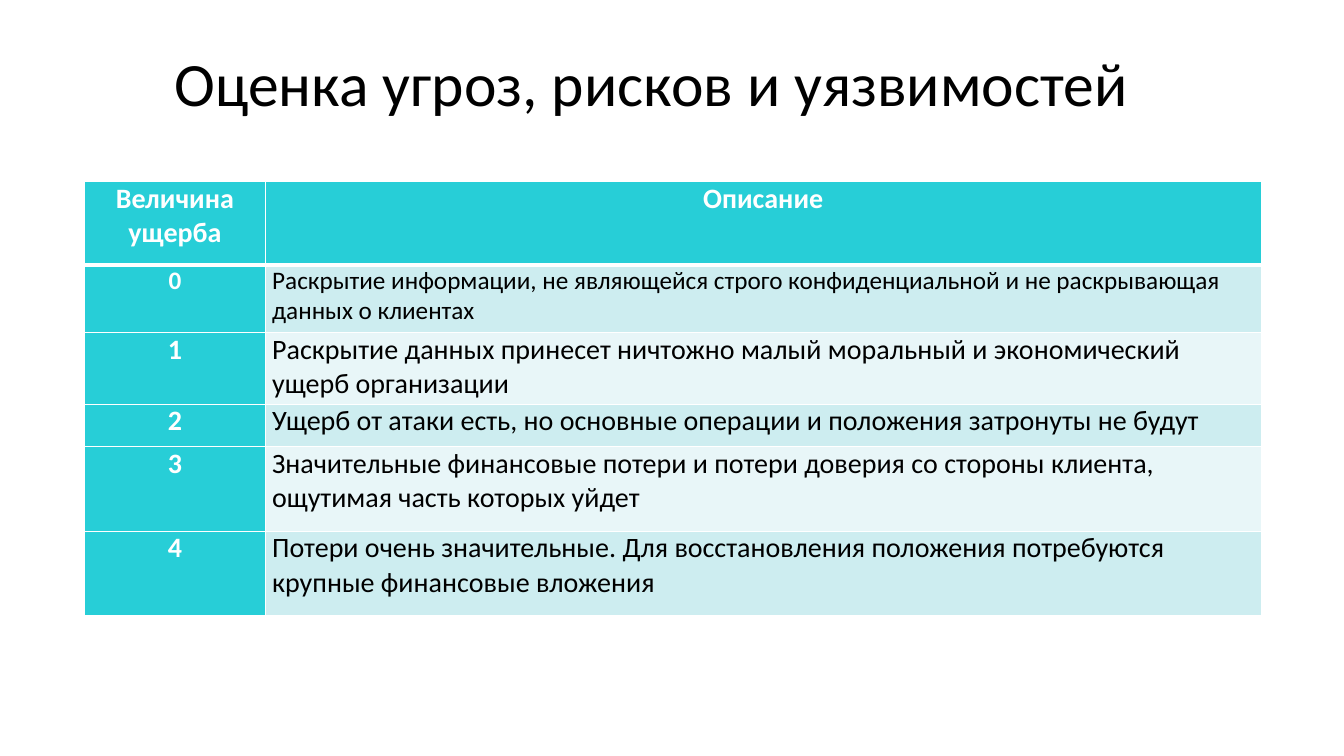
import pptx
import pptx.util
import pptx.dml.color
import pptx.enum.text
import pptx.oxml
from lxml import etree
from pptx.util import Inches

COLORS = {
    "text": "000000",
    "light_text": "FFFFFF",
    "border": "FFFFFF",
    "accent": "27CED7",
    "odd_row": "CDEDF0",
    "even_row": "E8F6F8",
}
FONT = "Calibri"
DRAWING_NS = "http://schemas.openxmlformats.org/drawingml/2006/main"

HEADINGS = ("Величина\nущерба", "Описание")
# Row height, text size, description; the damage level is the row's index
DAMAGE_LEVELS = [
    (0.67, 18, "Раскрытие информации, не являющейся строго конфиденциальной "
               "и не раскрывающая данных о клиентах"),
    (0.71, 20, "Раскрытие данных принесет ничтожно малый моральный и "
               "экономический ущерб организации"),
    (0.42, 20, "Ущерб от атаки есть, но основные операции и положения "
               "затронуты не будут"),
    (0.84, 20, "Значительные финансовые потери и потери доверия со стороны "
               "клиента, ощутимая часть которых уйдет"),
    (0.84, 20, "Потери очень значительные. Для восстановления положения "
               "потребуются крупные финансовые вложения"),
]
HEADING_HEIGHT = 0.83
COLUMN_WIDTHS = (1.79, 9.88)


def rgb(name):
    return pptx.dml.color.RGBColor.from_string(COLORS[name])


def format_runs(paragraph, size, color, bold=False):
    for run in paragraph.runs:
        run.font.name = FONT
        run.font.size = pptx.util.Pt(size)
        run.font.bold = bold
        run.font.color.rgb = rgb(color)


def add_title(slide, text):
    title = slide.shapes.title
    title.left, title.top = Inches(1.63), Inches(0.43)
    title.width, title.height = Inches(11.5), Inches(0.85)
    frame = title.text_frame
    frame.text = text
    frame.word_wrap = True
    frame.auto_size = pptx.enum.text.MSO_AUTO_SIZE.NONE
    frame.vertical_anchor = pptx.enum.text.MSO_ANCHOR.MIDDLE
    paragraph = frame.paragraphs[0]
    paragraph.alignment = pptx.enum.text.PP_ALIGN.LEFT
    paragraph.line_spacing = 0.9
    format_runs(paragraph, 44, "text")


def set_borders(cell, top=1, bottom=1):
    properties = cell._tc.get_or_add_tcPr()
    for side, width in (("L", 1), ("R", 1), ("T", top), ("B", bottom)):
        properties.append(pptx.oxml.parse_xml(
            f'<a:ln{side} xmlns:a="{DRAWING_NS}" w="{pptx.util.Pt(width)}">'
            f'<a:solidFill><a:srgbClr val="{COLORS["border"]}"/></a:solidFill>'
            f'</a:ln{side}>'))


def fill_cell(cell, text, size, fill, centered=True, top=1, bottom=1):
    """Centered cells are headings and levels: bold light text."""
    set_borders(cell, top, bottom)
    cell.fill.solid()
    cell.fill.fore_color.rgb = rgb(fill)
    cell.margin_left = cell.margin_right = Inches(0.07)
    cell.margin_top = cell.margin_bottom = 0
    cell.vertical_anchor = pptx.enum.text.MSO_ANCHOR.TOP
    paragraph = cell.text_frame.paragraphs[0]
    paragraph.text = text
    align = pptx.enum.text.PP_ALIGN
    paragraph.alignment = align.CENTER if centered else align.LEFT
    format_runs(paragraph, size, "light_text" if centered else "text", centered)
    return paragraph


def add_damage_table(slide):
    heights = [HEADING_HEIGHT] + [height for height, _, _ in DAMAGE_LEVELS]
    table = slide.shapes.add_table(
        len(heights), len(COLUMN_WIDTHS), Inches(0.84), Inches(1.8),
        Inches(sum(COLUMN_WIDTHS)), Inches(sum(heights))).table
    for column, width in zip(table.columns, COLUMN_WIDTHS):
        column.width = Inches(width)
    for row, height in zip(table.rows, heights):
        row.height = Inches(height)

    # Heading row with a thick rule below
    for column, heading in enumerate(HEADINGS):
        paragraph = fill_cell(table.cell(0, column), heading, 20, "accent", bottom=3)
    paragraph.space_before = pptx.util.Pt(6)

    # Damage levels with alternating description fills
    for level, (_, size, description) in enumerate(DAMAGE_LEVELS):
        top = 1 if level else 3
        band = "even_row" if level % 2 else "odd_row"
        fill_cell(table.cell(level + 1, 0), str(level), size, "accent", top=top)
        fill_cell(table.cell(level + 1, 1), description, size, band,
                  centered=False, top=top)


def main():
    presentation = pptx.Presentation()
    presentation.slide_width = Inches(13.33)
    presentation.slide_height = Inches(7.5)
    slide = presentation.slides.add_slide(presentation.slide_layouts[5])
    add_title(slide, "Оценка угроз, рисков и уязвимостей")
    add_damage_table(slide)
    presentation.save("out.pptx")


if __name__ == "__main__":
    main()
